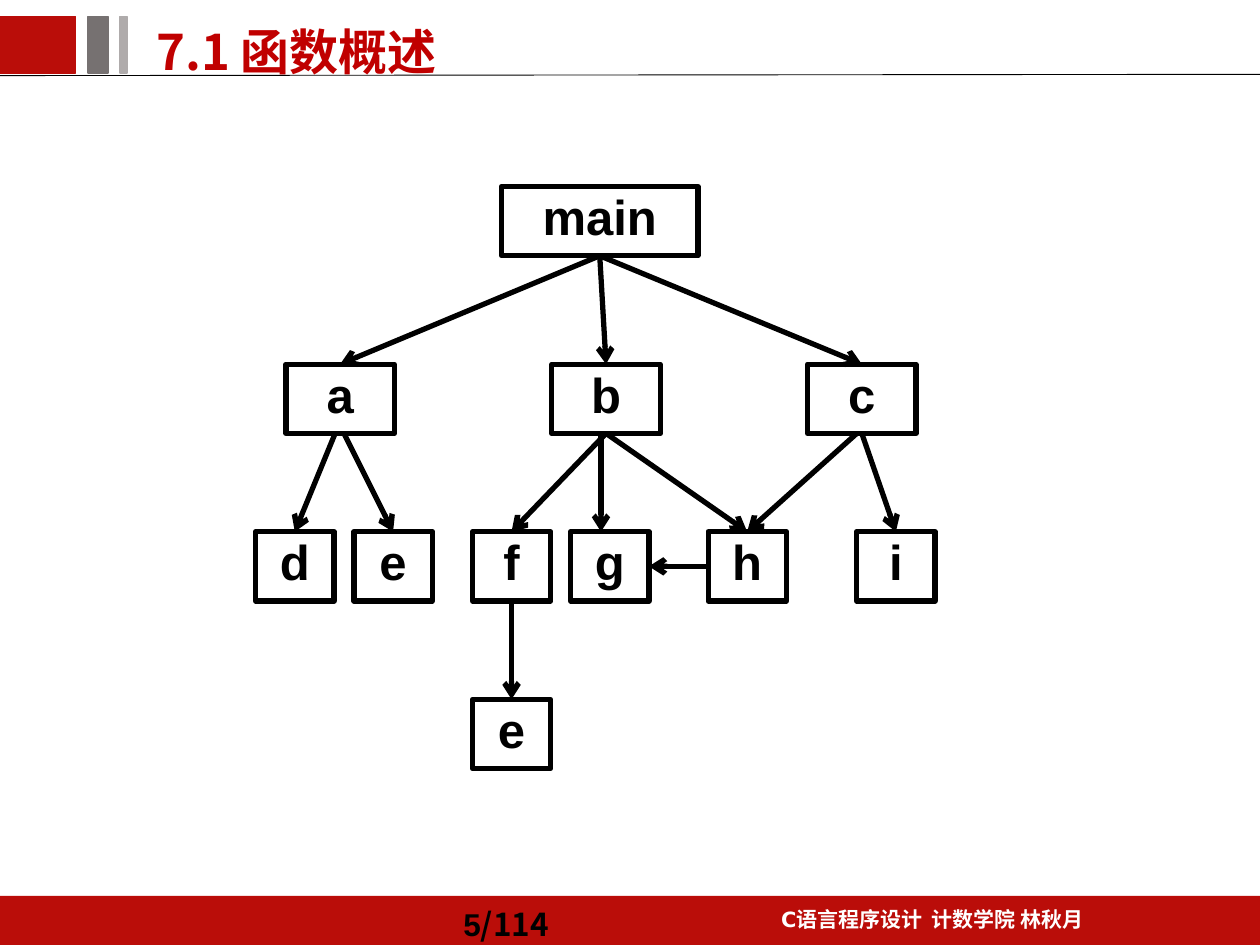
from lxml import etree
from pptx import Presentation
from pptx import util as u
from pptx.dml.color import RGBColor
from pptx.enum import shapes, text
from pptx.oxml.ns import qn

BLACK = RGBColor(0x00, 0x00, 0x00)
WHITE = RGBColor(0xFF, 0xFF, 0xFF)
RED = RGBColor(0xBA, 0x0D, 0x09)
TITLE_RED = RGBColor(0xC0, 0x00, 0x00)
DARK_GRAY = RGBColor(0x76, 0x71, 0x71)
LIGHT_GRAY = RGBColor(0xAF, 0xAB, 0xAB)
LATIN, CHINESE = "Arial", "Noto Sans CJK SC"
TOP, LEFT, BOTTOM, RIGHT = range(4)

BOX_HEIGHT = 0.55
ROW_TOPS = [1.48, 2.89, 4.22, 5.55]
ROW_WIDTHS = [1.56, 0.86, 0.62, 0.62]

# Key: (label, row, left)
FUNCTIONS = {
    "main": ("main", 0, 3.98),
    "a": ("a", 1, 2.27), "b": ("b", 1, 4.38), "c": ("c", 1, 6.41),
    "d": ("d", 2, 2.03), "e": ("e", 2, 2.81), "f": ("f", 2, 3.75),
    "g": ("g", 2, 4.53), "h": ("h", 2, 5.62), "i": ("i", 2, 6.80),
    "e under f": ("e", 3, 3.75),
}
# Calls that leave and arrive at the middle of a side
JOINED_CALLS = [
    ("main", "a"), ("main", "b"), ("main", "c"),
    ("b", "f"), ("b", "h"), ("c", "i"), ("f", "e under f"),
]
# Calls that leave beside the middle: caller, callee, start x
OFFSET_CALLS = [("a", "d", 2.66), ("a", "e", 2.73), ("c", "h", 6.80)]


def write_text(shape, runs, size=28, color=BLACK, align=text.PP_ALIGN.LEFT,
               anchor=text.MSO_ANCHOR.TOP, spacing=None, margins=None, wrap=True):
    """Fill a shape with one paragraph of bold (words, font name) runs."""
    frame = shape.text_frame
    frame.word_wrap = wrap
    frame.auto_size = text.MSO_AUTO_SIZE.NONE
    frame.vertical_anchor = anchor
    if margins is not None:
        frame.margin_left = frame.margin_right = u.Inches(margins)
        frame.margin_top = frame.margin_bottom = u.Inches(margins)
    paragraph = frame.paragraphs[0]
    paragraph.alignment = align
    paragraph.space_before = u.Pt(0)
    if spacing:
        paragraph.line_spacing = spacing
    for words, font_name in runs:
        run = paragraph.add_run()
        run.text = words
        run.font.name = font_name
        run.font.size = u.Pt(size)
        run.font.bold = True
        run.font.color.rgb = color
        east_asian = etree.SubElement(run.font._element, qn("a:ea"))
        east_asian.set("typeface", CHINESE)


class SlideBuilder:
    def __init__(self, slide, line_width=3):
        self.slide = slide
        self.line_width = line_width

    def title(self, words, *place):
        shape = self.slide.shapes.title
        shape.left, shape.top, shape.width, shape.height = map(u.Inches, place)
        write_text(shape, [(words, CHINESE)], color=TITLE_RED, spacing=1.2)

    def text_box(self, runs, *place, **style):
        shape = self.slide.shapes.add_textbox(*map(u.Inches, place))
        write_text(shape, runs, spacing=1.2, **style)

    def block(self, fill, *place, line=None, width=1,
              kind=shapes.MSO_SHAPE.RECTANGLE):
        shape = self.slide.shapes.add_shape(kind, *map(u.Inches, place))
        shape.shadow.inherit = False
        shape.fill.solid()
        shape.fill.fore_color.rgb = fill
        if line is None:
            shape.line.fill.background()
        else:
            shape.line.color.rgb = line
            shape.line.width = u.Pt(width)
        return shape

    def function_box(self, label, row, left):
        shape = self.block(WHITE, left, ROW_TOPS[row], ROW_WIDTHS[row], BOX_HEIGHT,
                           line=BLACK, width=self.line_width,
                           kind=shapes.MSO_SHAPE.FLOWCHART_PROCESS)
        write_text(shape, [(label, LATIN)], align=text.PP_ALIGN.CENTER,
                   anchor=text.MSO_ANCHOR.TOP, margins=0, wrap=False)
        return shape

    def line(self, *ends, width):
        connector = self.slide.shapes.add_connector(
            shapes.MSO_CONNECTOR.STRAIGHT, *map(u.Inches, ends))
        connector.line.color.rgb = BLACK
        connector.line.width = u.Pt(width)
        etree.SubElement(connector._element.spPr, qn("a:effectLst"))
        return connector

    def arrow(self, start=(0, 0), end=(0, 0), begin=None, finish=None):
        """Draw an arrow; begin and finish are (shape, side) joints."""
        connector = self.line(*start, *end, width=self.line_width)
        if begin:
            connector.begin_connect(*begin)
        if finish:
            connector.end_connect(*finish)
        tail = etree.SubElement(connector.line._get_or_add_ln(), qn("a:tailEnd"))
        tail.set("type", "arrow")


def main():
    presentation = Presentation()
    presentation.slide_width = u.Inches(10)
    presentation.slide_height = u.Inches(7.5)
    slide = presentation.slides.add_slide(presentation.slide_layouts[5])
    builder = SlideBuilder(slide)

    # Footer
    builder.block(RED, 0, 7.11, 10, 0.39)
    builder.text_box([("C", "DejaVu Sans"), ("语言程序设计  计数学院 林秋月", LATIN)],
                     5.63, 7.11, 3.54, 0.34, size=12, color=WHITE,
                     align=text.PP_ALIGN.CENTER)
    builder.text_box([("5", LATIN), ("/114", CHINESE)], 3.58, 7.11, 1.42, 0.39,
                     size=18, anchor=text.MSO_ANCHOR.MIDDLE)

    # Header
    builder.line(0, 0.6, 10, 0.59, width=0.5)
    for color, left, width in [(RED, 0, 0.6), (DARK_GRAY, 0.7, 0.16),
                               (LIGHT_GRAY, 0.95, 0.06)]:
        builder.block(color, left, 0.13, width, 0.45, line=color)
    builder.title("7.1 函数概述", 1.14, 0.03, 4.81, 0.62)

    # Functions of the call tree
    boxes = {key: builder.function_box(*details)
             for key, details in FUNCTIONS.items()}

    # Calls between them
    row_bottom = ROW_TOPS[1] + BOX_HEIGHT
    for caller, callee in JOINED_CALLS:
        builder.arrow(begin=(boxes[caller], BOTTOM), finish=(boxes[callee], TOP))
    for caller, callee, start_x in OFFSET_CALLS:
        builder.arrow(start=(start_x, row_bottom), finish=(boxes[callee], TOP))
    builder.arrow(start=(4.77, row_bottom), end=(4.77, ROW_TOPS[2]))
    builder.arrow(begin=(boxes["h"], LEFT), finish=(boxes["g"], RIGHT))

    presentation.save("out.pptx")


if __name__ == "__main__":
    main()
